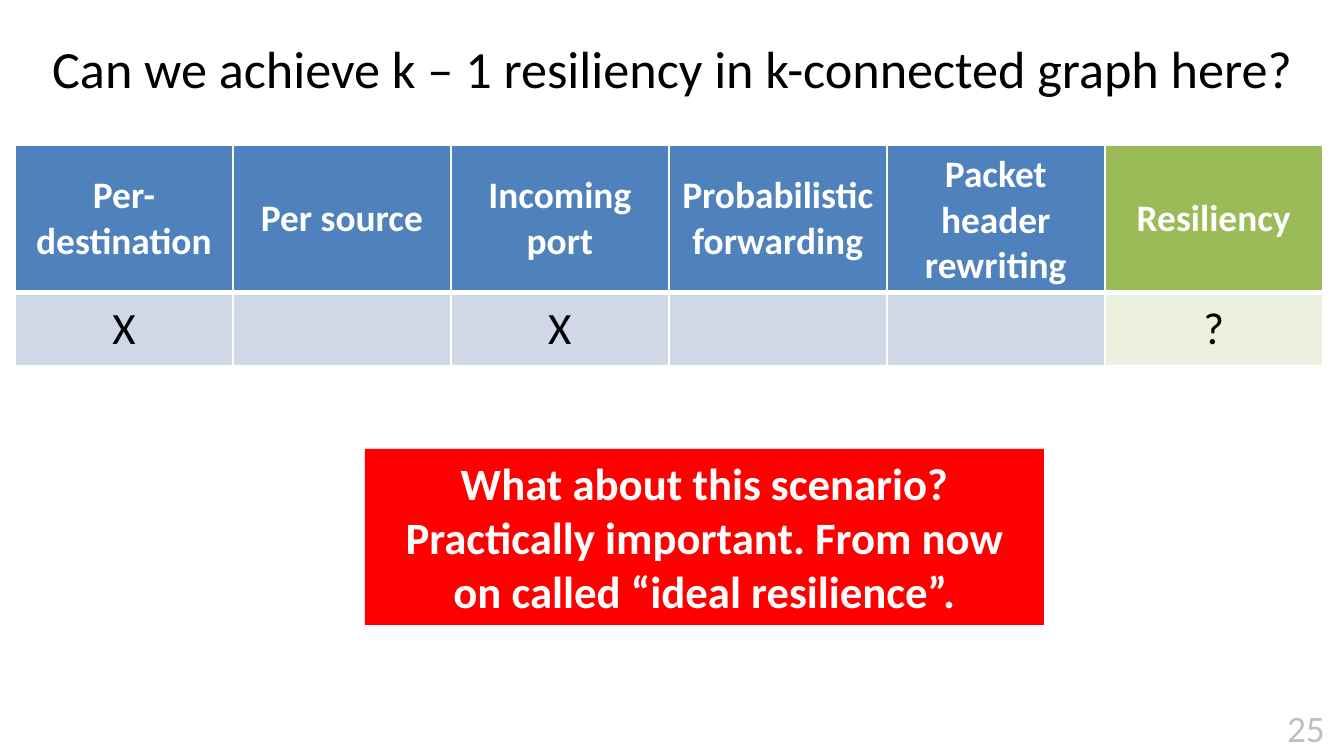
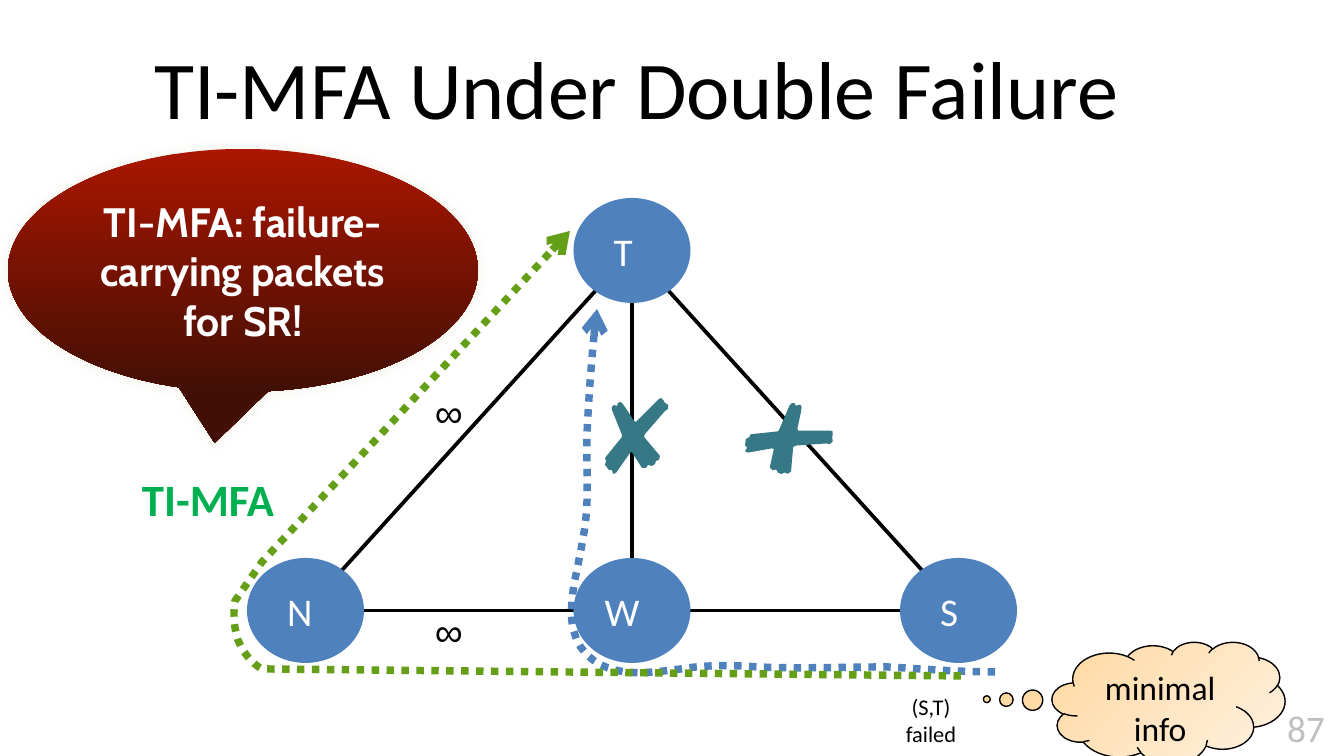
import pptx
import pptx.util
import pptx.dml.color
import pptx.enum.dml
import pptx.enum.shapes
import pptx.enum.text
import pptx.oxml
import pptx.oxml.ns
import lxml.etree

SCALE = 914400 / 134.4
FONT = "Calibri"
COLORS = {
    "black": "000000", "white": "FFFFFF", "number": "BFBFBF", "blue": "4F81BD",
    "green": "9BBB59", "pale blue": "D0D8E8", "pale green": "EBF1DE", "red": "FF0000",
    "route": "659F18", "mark": "377887", "label": "00B050", "peach": "FFD8A0",
    "cream": "FFF2E3", "crimson": "AA1600", "maroon": "420F05", "glow": "EEECE1",
}
MARK = [
    (56, 0), (54, 1), (32, 23), (31, 24), (29, 23), (20, 9), (17, 5), (15, 4), (13, 5), (12, 8),
    (9, 7), (7, 9), (7, 12), (17, 37), (17, 39), (0, 60), (1, 63), (0, 67), (4, 72), (7, 72),
    (8, 76), (11, 75), (25, 55), (27, 54), (28, 56), (37, 70), (41, 70), (43, 67), (47, 68),
    (50, 66), (51, 63), (54, 62), (55, 58), (39, 39), (40, 36), (60, 13), (63, 11), (63, 7),
    (59, 4), (59, 3),
]
FAILED_ROUTE = [
    [(748, 474)],
    [(712, 474), (676, 471), (640, 469)],
    [(598, 469), (553, 471), (510, 469)],
    [(484, 467), (459, 467), (434, 471)],
    [(401, 475), (365, 481), (340, 457)],
    [(311, 427), (330, 381), (336, 340)],
    [(343, 306), (339, 271), (340, 236)],
    [(342, 194), (345, 152), (350, 111)],
]
RESCUE_ROUTE = [
    [(714, 478)],
    [(15, 471)],
    [(4, 465), (-4, 454), (-9, 442)],
    [(-13, 430), (-14, 415), (-12, 403)],
    [(15, 364)],
    [(323, 33)],
]
ALIGN = pptx.enum.text.PP_ALIGN
ANCHOR = pptx.enum.text.MSO_ANCHOR
SHAPE = pptx.enum.shapes.MSO_SHAPE


def px(length):
    return pptx.util.Emu(round(length * SCALE))


def rgb(name):
    return pptx.dml.color.RGBColor.from_string(COLORS[name])


def write(frame, text, size, color="black", bold=False, font=FONT, align=ALIGN.CENTER,
          anchor=ANCHOR.TOP, insets=(13, 7, 13, 7), wrap=True, grow=False, spacing=None):
    frame.word_wrap = wrap
    if grow:
        frame.auto_size = pptx.enum.text.MSO_AUTO_SIZE.SHAPE_TO_FIT_TEXT
    frame.vertical_anchor = anchor
    frame.margin_left, frame.margin_top, frame.margin_right, frame.margin_bottom = map(px, insets)
    para = frame.paragraphs[0]
    para.alignment = align
    para.line_spacing = spacing
    span = para.add_run()
    span.text = text
    span.font.size = pptx.util.Pt(size)
    span.font.name = font
    span.font.bold = bold
    span.font.color.rgb = rgb(color)


def add_text(slide, box, text, size, **style):
    shape = slide.shapes.add_textbox(*map(px, box))
    write(shape.text_frame, text, size, **style)


def add_shape(slide, kind, box, fill, angle=None):
    shape = slide.shapes.add_shape(kind, *map(px, box))
    shape.shadow.inherit = False
    shape.line.fill.background()
    if angle is None:
        shape.fill.solid()
        shape.fill.fore_color.rgb = rgb(fill)
    else:
        shape.fill.gradient()
        shape.fill.gradient_angle = angle
        for stop, name in zip(shape.fill.gradient_stops, fill):
            stop.color.rgb = rgb(name)
    return shape


def add_outline(slide, origin, points, close):
    first, *rest = [(x * SCALE, y * SCALE) for x, y in points]
    builder = slide.shapes.build_freeform(*first, scale=1.0)
    builder.add_line_segments(rest, close=close)
    shape = builder.convert_to_shape(*map(px, origin))
    shape.shadow.inherit = False
    return shape


def add_link(slide, start, end):
    link = slide.shapes.add_connector(
        pptx.enum.shapes.MSO_CONNECTOR.STRAIGHT, *map(px, start + end))
    link.line.color.rgb = rgb("black")
    link.line.width = pptx.util.Pt(2)
    lxml.etree.SubElement(link._element.spPr, pptx.oxml.ns.qn("a:effectLst"))


def trace(route, steps=12):
    points = list(route[0])
    for segment in route[1:]:
        if len(segment) == 1:
            points += segment
            continue
        knots = [points[-1], *segment]
        for step in range(1, steps + 1):
            t = step / steps
            weights = ((1 - t) ** 3, 3 * t * (1 - t) ** 2, 3 * t ** 2 * (1 - t), t ** 3)
            points.append(tuple(sum(w * knot[axis] for w, knot in zip(weights, knots))
                                for axis in (0, 1)))
    return points


def add_route(slide, origin, route, color):
    shape = add_outline(slide, origin, trace(route), close=False)
    shape.fill.background()
    shape.line.color.rgb = rgb(color)
    shape.line.width = pptx.util.Pt(4)
    shape.line.dash_style = pptx.enum.dml.MSO_LINE.ROUND_DOT
    outline = shape.line._get_or_add_ln()
    lxml.etree.SubElement(outline, pptx.oxml.ns.qn("a:tailEnd"), type="arrow")


def add_mark(slide, origin, rotation=0):
    shape = add_outline(slide, origin, MARK, close=True)
    shape.fill.solid()
    shape.fill.fore_color.rgb = rgb("mark")
    shape.line.fill.background()
    shape.rotation = rotation


def add_page(deck, title, box, size, number):
    slide = deck.slides.add_slide(deck.slide_layouts[6])
    add_text(slide, box, title, size, anchor=ANCHOR.MIDDLE)
    add_text(slide, (1274, 698, 66, 59), number, 20, color="number", align=ALIGN.LEFT,
             wrap=False, grow=True)
    return slide


def set_borders(cell, widths):
    properties = cell._tc.get_or_add_tcPr()
    for index, (side, width) in enumerate(zip(("lnL", "lnR", "lnT", "lnB"), widths)):
        properties.insert(index, pptx.oxml.parse_xml(
            f'<a:{side} {pptx.oxml.ns.nsdecls("a")} w="{width * 12700}"><a:solidFill>'
            f'<a:srgbClr val="{COLORS["white"]}"/></a:solidFill></a:{side}>'))


def scenario_table(slide, box):
    header = ["Per-destination", "Per source", "Incoming port", "Probabilistic forwarding",
              "Packet header rewriting", "Resiliency"]
    scenario = ["X", "", "X", "", "", "?"]
    styles = [
        (header, 148, ("blue", "green"), (1, 1, 1, 3), {"size": 20, "color": "white", "bold": True}),
        (scenario, 73, ("pale blue", "pale green"), (1, 1, 3, 1), {"size": 24}),
    ]
    table = slide.shapes.add_table(len(styles), len(header), *map(px, box)).table
    table.horz_banding = False
    for column in table.columns:
        column.width = px(box[2] // len(header))
    for row, (texts, height, fills, borders, style) in enumerate(styles):
        table.rows[row].height = px(height)
        for column, text in enumerate(texts):
            cell = table.cell(row, column)
            cell.fill.solid()
            cell.fill.fore_color.rgb = rgb(fills[column == len(texts) - 1])
            cell.vertical_anchor = ANCHOR.MIDDLE
            set_borders(cell, borders)
            if text:
                write_cell(cell, text, **style)


def write_cell(cell, text, size, color="black", bold=False):
    para = cell.text_frame.paragraphs[0]
    para.alignment = ALIGN.CENTER
    span = para.add_run()
    span.text = text
    span.font.size = pptx.util.Pt(size)
    span.font.name = FONT
    span.font.bold = bold
    span.font.color.rgb = rgb(color)


def network(slide, box):
    left, top, width, height = box
    node_width, node_height = 117, 105
    step, drop = (width - node_width) / 2, height - node_height
    nodes = {"N": (0, 1, 23), "W": (1, 1, 14), "S": (2, 1, 23), "T": (1, 0, 23)}
    corners = {name: (left + column * step, top + row * drop)
               for name, (column, row, _) in nodes.items()}
    centers = {name: (x + node_width / 2, y + node_height / 2)
               for name, (x, y) in corners.items()}
    for start, end in ("WS", "TW", "TS", "TN", "NW"):
        add_link(slide, centers[start], centers[end])
    add_route(slide, (left, top), FAILED_ROUTE, "blue")
    add_mark(slide, (left + 358, top + 200))
    add_mark(slide, (left + 510, top + 205), 45)
    for name, (_, _, inset) in nodes.items():
        node = add_shape(slide, SHAPE.OVAL, (*corners[name], node_width, node_height), "blue")
        write(node.text_frame, name, 21, color="white", align=ALIGN.LEFT,
              anchor=ANCHOR.MIDDLE, insets=(inset, 5, 5, 5))
    for y in (185, 404):
        add_text(slide, (left + 183, top + y, 39, 58), "∞", 21, font="Arial", align=ALIGN.LEFT,
                 anchor=ANCHOR.MIDDLE, insets=(5, 5, 5, 5), wrap=False, grow=True)
    add_route(slide, (left, top), RESCUE_ROUTE, "route")


def packet_note(slide, box):
    left, top, width, height = box
    cloud = add_shape(slide, SHAPE.CLOUD_CALLOUT, (left + 200, top, 233, 122),
                      ("peach", "cream"), 315)
    cloud.adjustments[0], cloud.adjustments[1] = -0.78, -0.03
    cloud.line.color.rgb = rgb("black")
    cloud.line.width = pptx.util.Pt(0.75)
    write(cloud.text_frame, "minimal info", 18)
    add_text(slide, (left, top + 38, 126, height - 38), "(S,T) failed", 12,
             insets=(45, 13, 13, 13))


def speech_bubble(slide, box):
    bubble = add_shape(slide, SHAPE.OVAL_CALLOUT, box, ("crimson", "maroon"), 270)
    bubble.adjustments[0], bubble.adjustments[1] = -0.06, 0.71
    effects = bubble._element.spPr.find(pptx.oxml.ns.qn("a:effectLst"))
    effects.append(pptx.oxml.parse_xml(
        f'<a:outerShdw {pptx.oxml.ns.nsdecls("a")} blurRad="76200" dist="0" dir="0">'
        f'<a:srgbClr val="{COLORS["glow"]}"><a:alpha val="80000"/></a:srgbClr></a:outerShdw>'))
    write(bubble.text_frame, "TI-MFA: failure-carrying packets for SR!", 22, color="white",
          bold=True, font="Cabin", anchor=ANCHOR.MIDDLE, insets=(0, 0, 0, 0))


def resiliency_slide(deck):
    slide = add_page(deck, "Can we achieve k – 1 resiliency in k-connected graph here?",
                     (0, 5, 1344, 126), 28, "25")
    scenario_table(slide, (15, 145, 1308, 221))
    banner = add_shape(slide, SHAPE.RECTANGLE, (365, 449, 679, 176), "red")
    write(banner.text_frame, "What about this scenario? Practically important. "
          "From now on called “ideal resilience”.", 24, color="white", bold=True, grow=True)


def failure_slide(deck):
    slide = add_page(deck, "TI-MFA Under Double Failure", (32, 24, 1210, 126), 44, "87")
    network(slide, (247, 198, 770, 465))
    packet_note(slide, (852, 642, 433, 155))
    speech_bubble(slide, (8, 149, 470, 243))
    add_text(slide, (137, 456, 190, 75), "TI-MFA", 24, color="label", bold=True,
             align=ALIGN.LEFT, anchor=ANCHOR.MIDDLE, insets=(5, 5, 5, 5), grow=True, spacing=1.2)


def main():
    deck = pptx.Presentation()
    deck.slide_width, deck.slide_height = px(1344), px(756)
    resiliency_slide(deck)
    failure_slide(deck)
    deck.save("out.pptx")


if __name__ == "__main__":
    main()
